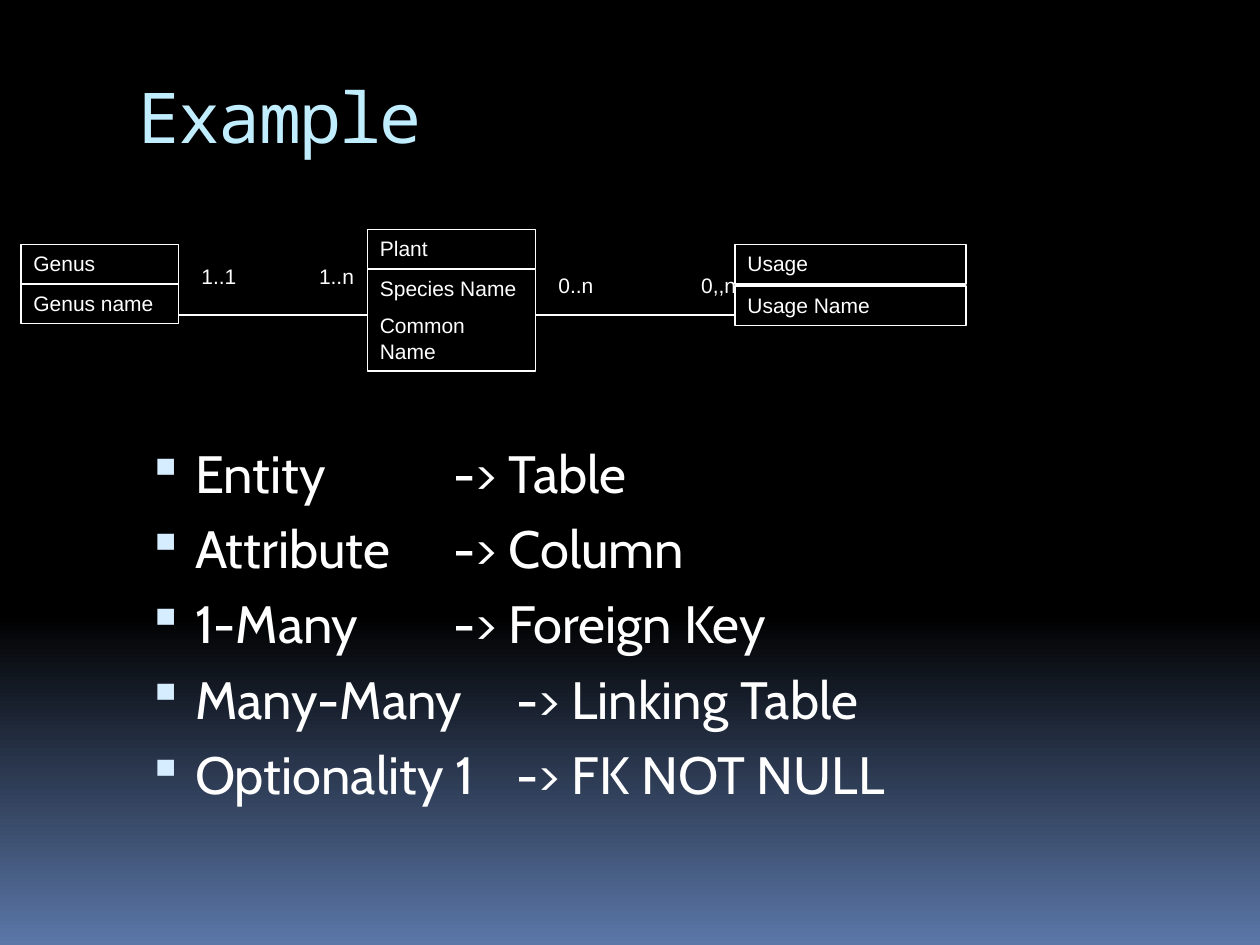
from lxml import etree
from pptx import Presentation
from pptx import util as u
from pptx.dml.color import RGBColor
from pptx.enum import shapes, text
from pptx.oxml import ns

WHITE = "FFFFFF"
CELL = 1 / 12  # one grid column or row, in inches


def colour(code):
    return RGBColor.from_string(code)


def grid(*cells):
    return [u.Inches(cell * CELL) for cell in cells]


class Canvas:
    """Holds the style and the current slide."""
    small, small_font = 12, "Arial"
    body, body_font = 30, "Cabin"
    head, head_font = 40, "Noto Sans Mono"
    line_width = 0.75

    def __init__(self, deck):
        self.page = deck.slides.add_slide(deck.slide_layouts[6])

    def background(self, start, end, turn):
        fill = self.page.background.fill
        fill.gradient()
        fill.gradient_angle = 270
        for stop, code, place in zip(fill.gradient_stops, (start, end), (turn, 1)):
            stop.color.rgb = colour(code)
            stop.position = place

    def add_lines(self, box, lines, size, font, code=WHITE, before=0, wrap=True):
        frame = box.text_frame
        frame.word_wrap = wrap
        frame.vertical_anchor = text.MSO_ANCHOR.TOP
        for index, line in enumerate(lines):
            para = frame.paragraphs[0] if index == 0 else frame.add_paragraph()
            para.alignment = text.PP_ALIGN.LEFT
            para.space_before = u.Pt(before)
            span = para.add_run()
            span.text = line
            span.font.size = u.Pt(size)
            span.font.name = font
            span.font.color.rgb = colour(code)
        return frame

    def title(self, place, words):
        box = self.page.shapes.add_textbox(*grid(*place))
        frame = self.add_lines(box, [words], self.head, self.head_font, "C1EEFF")
        frame.margin_top = u.Inches(0.02)
        span = frame.paragraphs[0].runs[0]
        span._r.get_or_add_rPr().set("spc", "-100")

    def cell(self, place, lines):
        box = self.page.shapes.add_shape(shapes.MSO_SHAPE.RECTANGLE, *grid(*place))
        box.shadow.inherit = False
        box.fill.background()
        box.line.color.rgb = colour(WHITE)
        box.line.width = u.Pt(self.line_width)
        self.add_lines(box, lines, self.small, self.small_font, before=7)

    def entity(self, left, width, name_top, name, field_top, field_height, fields):
        self.cell((left, name_top, width, 3.75), [name])
        self.cell((left, field_top, width, field_height), fields)

    def relation(self, start, end, row):
        line = self.page.shapes.add_connector(
            shapes.MSO_CONNECTOR.STRAIGHT, *grid(start, row, end, row))
        line.line.color.rgb = colour(WHITE)
        line.line.width = u.Pt(self.line_width)
        etree.SubElement(line._element.spPr, ns.qn("a:effectLst"))

    def label(self, left, top, words):
        box = self.page.shapes.add_textbox(*grid(left, top, 5.75, 3.6))
        self.add_lines(box, [words], self.small, self.small_font, wrap=False)

    def bullets(self, place, lines):
        box = self.page.shapes.add_textbox(*grid(*place))
        frame = self.add_lines(box, lines, self.body, self.body_font, before=7)
        for para in frame.paragraphs:
            props = para._p.get_or_add_pPr()
            props.set("marL", str(u.Inches(0.45)))
            props.set("indent", str(u.Inches(-0.38)))
            tint = etree.SubElement(props, ns.qn("a:buClr"))
            etree.SubElement(tint, ns.qn("a:srgbClr"), val="D6ECFF")
            etree.SubElement(props, ns.qn("a:buSzPct"), val="95000")
            etree.SubElement(props, ns.qn("a:buChar"), char="▪")


deck = Presentation()
deck.slide_width, deck.slide_height = u.Inches(10), u.Inches(7.5)
canvas = Canvas(deck)
canvas.background("000000", "5B77A8", 0.65)
canvas.title((12, 6.75, 102, 12), "Example")

# Entities: left, width, name row, name, field row, field height, fields
for entity in (
    (2, 15, 23.3, "Genus", 27.1, 3.75, ["Genus name"]),
    (35, 16, 21.85, "Plant", 25.65, 9.7, ["Species Name", "Common Name"]),
    (70, 22, 23.3, "Usage", 27.25, 3.75, ["Usage Name"]),
):
    canvas.entity(*entity)

# Relations between neighbouring entities
for start, end in ((17, 35), (51, 70)):
    canvas.relation(start, end, 30)

# Cardinalities
for left, top, words in ((18, 24.5, "1..1"), (29.2, 24.5, "1..n"),
                         (52, 25.4, "0..n"), (65.6, 25.4, "0,,n")):
    canvas.label(left, top, words)

# Mapping from model to database
canvas.bullets((12, 41.4, 102, 42.6), [
    "Entity \t\t-> Table",
    "Attribute \t-> Column",
    "1-Many\t\t-> Foreign Key",
    "Many-Many\t-> Linking Table",
    "Optionality 1\t-> FK NOT NULL",
])

deck.save("out.pptx")
